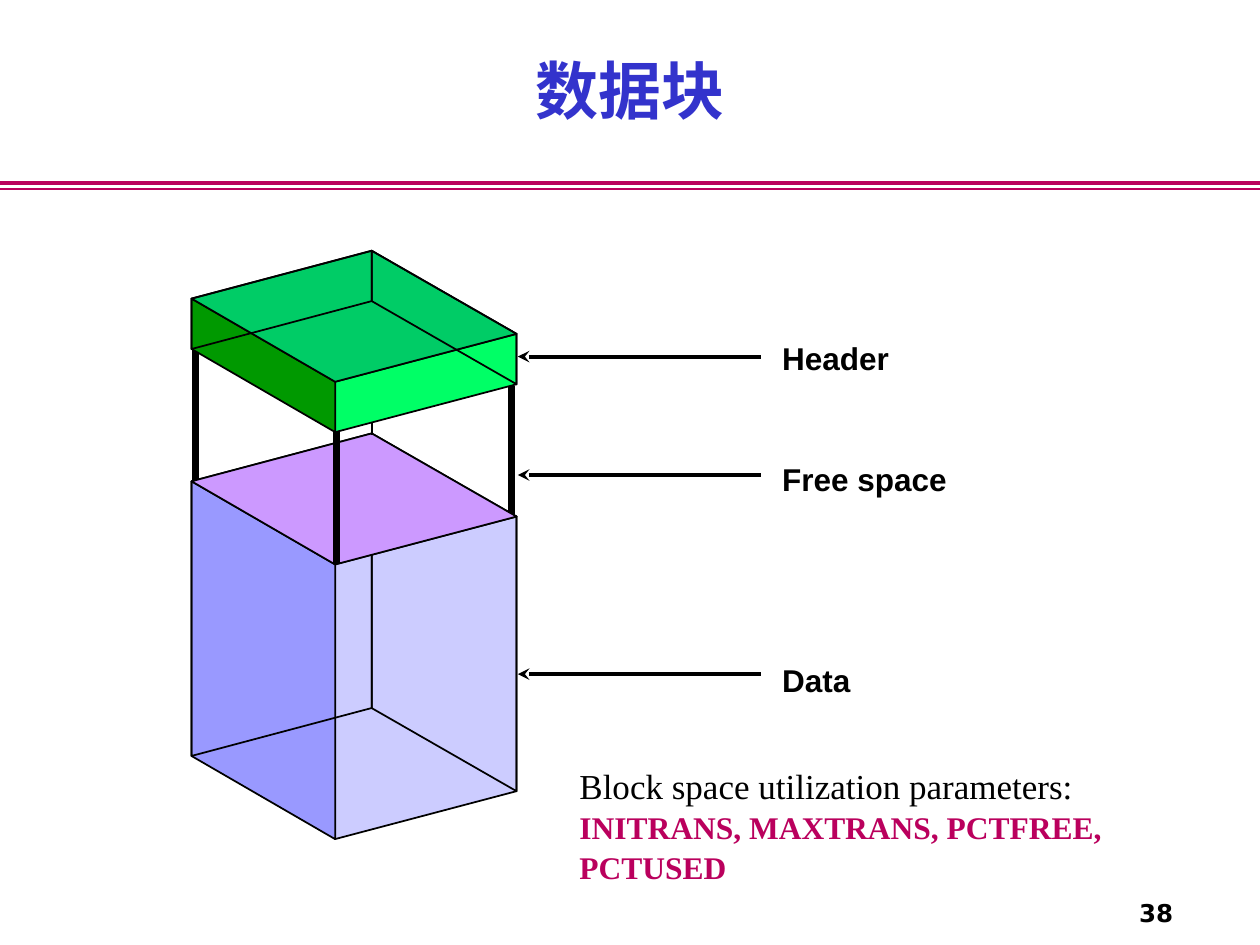
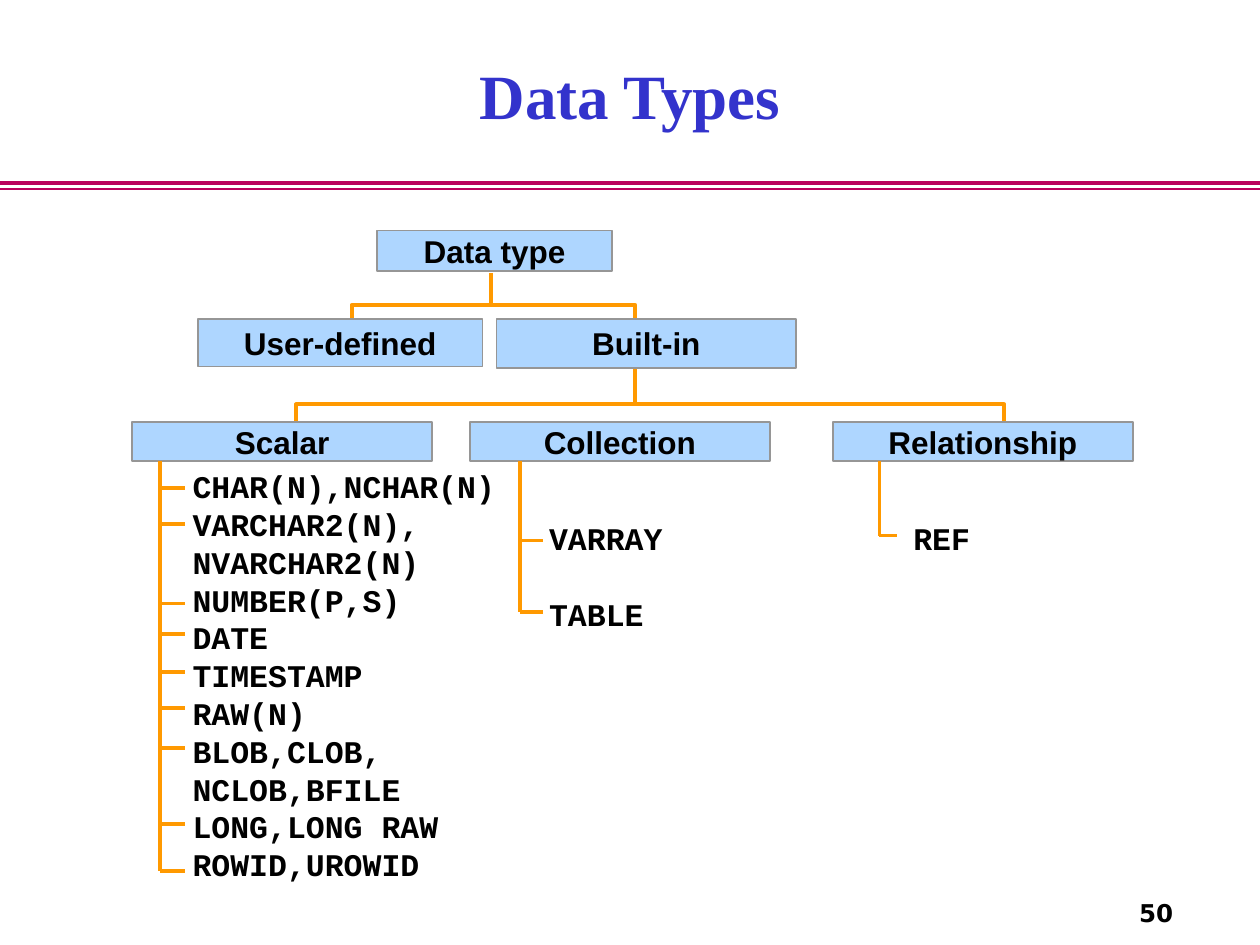
from lxml import etree
from pptx import Presentation
from pptx.dml.color import RGBColor
from pptx.enum.shapes import MSO_CONNECTOR, MSO_SHAPE
from pptx.enum.text import MSO_ANCHOR, PP_ALIGN
from pptx.oxml.ns import qn
from pptx.util import Inches, Pt

STRAIGHT = MSO_CONNECTOR.STRAIGHT
RECT = MSO_SHAPE.RECTANGLE
TOP, MIDDLE = MSO_ANCHOR.TOP, MSO_ANCHOR.MIDDLE
LEFT, CENTER, RIGHT = PP_ALIGN.LEFT, PP_ALIGN.CENTER, PP_ALIGN.RIGHT

BLACK = RGBColor(0x00, 0x00, 0x00)
TITLE_BLUE = RGBColor(0x33, 0x33, 0xCC)
CRIMSON = RGBColor(0xBA, 0x00, 0x5D)
ORANGE = RGBColor(0xFF, 0x99, 0x00)
BOX_BLUE = RGBColor(0xAE, 0xD6, 0xFF)
BOX_EDGE = RGBColor(0x96, 0x96, 0x96)
DATA_RIGHT = RGBColor(0xCC, 0xCC, 0xFF)
DATA_LEFT = RGBColor(0x99, 0x99, 0xFF)
DATA_LID = RGBColor(0xCC, 0x99, 0xFF)
HEADER_RIGHT = RGBColor(0x00, 0xFF, 0x66)
HEADER_LEFT = RGBColor(0x00, 0x99, 0x00)
HEADER_LID = RGBColor(0x00, 0xCC, 0x66)

SERIF, SANS, MONO, NUMBER_FONT = "Times New Roman", "Arial", "Courier New", "DejaVu Sans"
TREE_WIDTH = 2.25
CODE_PITCH = Pt(21.6)


class Deck:
    def __init__(self):
        self.prs = Presentation()
        self.prs.slide_width, self.prs.slide_height = Inches(10), Inches(7.5)
        self.s = None

    def style(self, font, name, size, color=BLACK, bold=True):
        font.name, font.size, font.bold = name, Pt(size), bold
        font.color.rgb = color

    def slide(self, title, title_box, number):
        """Start a slide with its title, double rule and page number."""
        self.s = self.prs.slides.add_slide(self.prs.slide_layouts[5])
        self.line((0, 1.45), (10, 1.45), CRIMSON, 2.25)
        self.line((0, 1.5), (10, 1.5), CRIMSON, 1)
        sp = self.s.shapes.title
        sp.left, sp.top, sp.width, sp.height = map(Inches, title_box)
        tf = sp.text_frame
        tf.text, tf.vertical_anchor = title, TOP
        p = tf.paragraphs[0]
        p.alignment = CENTER
        self.style(p.font, SERIF, 36, TITLE_BLUE)
        self.text((8.83, 7.08, 0.58, 0.33), [number], NUMBER_FONT, 14,
                  align=RIGHT, anchor=MIDDLE)

    def line(self, start, end, color, width, arrow=False):
        """Draw a straight line, with an arrowhead at its start if asked."""
        cx = self.s.shapes.add_connector(STRAIGHT, *map(Inches, start + end))
        cx.line.color.rgb, cx.line.width = color, Pt(width)
        if arrow:
            etree.SubElement(cx.line._get_or_add_ln(), qn("a:headEnd"), type="stealth")
        etree.SubElement(cx._element.spPr, qn("a:effectLst"))

    def outline(self, points, color, width, fill=None, close=True):
        (x, y), *rest = [tuple(map(Inches, pt)) for pt in points]
        fb = self.s.shapes.build_freeform(x, y)
        fb.add_line_segments(rest, close=close)
        self.finish(fb.convert_to_shape(), fill, color, width)

    def finish(self, sp, fill, color, width):
        sp.shadow.inherit = False
        if fill is None:
            sp.fill.background()
        else:
            sp.fill.solid()
            sp.fill.fore_color.rgb = fill
        sp.line.color.rgb, sp.line.width = color, Pt(width)

    def fill_text(self, tf, lines, font, size, align, anchor, wrap):
        tf.word_wrap, tf.vertical_anchor = wrap, anchor
        tf.text = "\n".join(lines)
        for p in tf.paragraphs:
            p.alignment = align
            self.style(p.font, font, size)

    def text(self, box, lines, font, size, align=LEFT, anchor=TOP, wrap=False):
        tf = self.s.shapes.add_textbox(*map(Inches, box)).text_frame
        self.fill_text(tf, lines, font, size, align, anchor, wrap)
        return tf

    def code(self, box, lines, gap=0):
        tf = self.text(box, lines, MONO, 18)
        for i, p in enumerate(tf.paragraphs):
            p.line_spacing = CODE_PITCH
            p.space_before = gap if i else 0

    def node(self, label, left, top, width, height):
        sp = self.s.shapes.add_shape(RECT, *map(Inches, (left, top, width, height)))
        self.finish(sp, BOX_BLUE, BOX_EDGE, 1)
        self.fill_text(sp.text_frame, [label], SANS, 18, CENTER, MIDDLE, False)

    def branch(self, x, top, ticks, length):
        """Draw a vertical trunk with a short tick at each height."""
        self.line((x, top), (x, ticks[-1]), ORANGE, TREE_WIDTH)
        for y in ticks:
            self.line((x, y), (x + length, y), ORANGE, TREE_WIDTH)

    def prism(self, top, height, left_fill, right_fill, lid_fill, clear_lid):
        """Draw a slanted box; a clear lid lets the back edges show through."""
        back, right = (2.95, top), (4.1, top + 0.66)
        front, left = (2.66, top + 1.04), (1.52, top + 0.38)

        def wall(a, b):
            return [a, b, (b[0], b[1] + height), (a[0], a[1] + height)]

        lid = ([back, right, front, left], lid_fill)
        hidden = [(wall(back, right), None), (wall(back, left), None)]
        faces = [(wall(right, front), right_fill), (wall(left, front), left_fill)]
        faces += [lid, *hidden] if clear_lid else [*hidden, lid]
        for points, fill in faces:
            self.outline(points, BLACK, 1, fill)


def data_block(deck):
    deck.slide("数据块", (0.75, 0.36, 8.5, 0.93), "38")
    labels = [("Header", 2.64, 2.83), ("Free space", 3.6, 3.77), ("Data", 5.2, 5.35)]
    for label, top, arrow_y in labels:
        deck.text((6.11, top, 1.6, 0.39), [label], SANS, 18)
        deck.line((4.11, arrow_y), (6.04, arrow_y), BLACK, 2.25, arrow=True)

    deck.line((1.55, 2.76), (1.55, 3.83), BLACK, 4)
    deck.line((4.06, 3.06), (4.06, 4.09), BLACK, 4)
    deck.prism(3.44, 2.18, DATA_LEFT, DATA_RIGHT, DATA_LID, clear_lid=False)
    deck.line((2.67, 3.41), (2.67, 4.48), BLACK, 4)
    deck.line((2.95, 2.7), (2.95, 3.45), BLACK, 1)
    deck.prism(1.99, 0.4, HEADER_LEFT, HEADER_RIGHT, HEADER_LID, clear_lid=True)

    tf = deck.text((4.5, 6, 4.75, 0.97), [""], SERIF, 18, wrap=True)
    p = tf.paragraphs[0]
    p.line_spacing = 1.05
    for words, size, color, bold in [
        ("Block space utilization parameters: ", 20, BLACK, False),
        ("INITRANS, MAXTRANS, PCTFREE, PCTUSED", 18, CRIMSON, True),
    ]:
        r = p.add_run()
        r.text = words
        deck.style(r.font, SERIF, size, color, bold)


def data_types(deck):
    deck.slide("Data Types", (1.01, 0.4, 7.98, 0.71), "50")
    deck.outline([(2.79, 2.69), (2.79, 2.42), (5.04, 2.42), (5.04, 3.19)],
                 ORANGE, TREE_WIDTH, close=False)
    deck.line((3.9, 2.43), (3.9, 2.17), ORANGE, TREE_WIDTH)
    deck.outline([(2.35, 3.37), (2.35, 3.21), (7.97, 3.21), (7.97, 3.41)],
                 ORANGE, TREE_WIDTH, close=False)

    deck.node("Data type", 2.99, 1.83, 1.87, 0.32)
    deck.node("User-defined", 1.57, 2.53, 2.26, 0.38)
    deck.node("Built-in", 3.94, 2.53, 2.38, 0.39)
    for label, left in [("Scalar", 1.05), ("Collection", 3.73), ("Relationship", 6.61)]:
        deck.node(label, left, 3.35, 2.38, 0.31)

    scalar_ticks = [3.87, 4.16, 4.79, 5.03, 5.33, 5.62, 5.94, 6.54, 6.91]
    deck.branch(1.27, 3.66, scalar_ticks, 0.2)
    deck.branch(4.13, 3.66, [4.29, 4.86], 0.18)
    deck.branch(6.98, 3.66, [4.25], 0.14)

    deck.code((1.43, 3.66, 2.6, 3.4), [
        "CHAR(N),NCHAR(N)", "VARCHAR2(N),", "NVARCHAR2(N)", "NUMBER(P,S)", "DATE",
        "TIMESTAMP", "RAW(N)", "BLOB,CLOB,", "NCLOB,BFILE", "LONG,LONG RAW",
        "ROWID,UROWID"])
    deck.code((4.26, 4.07, 1.1, 1), ["VARRAY", "TABLE"], gap=CODE_PITCH)
    deck.code((7.15, 4.07, 0.65, 0.4), ["REF"])


def main():
    deck = Deck()
    data_block(deck)
    data_types(deck)
    deck.prs.save("out.pptx")


if __name__ == "__main__":
    main()
